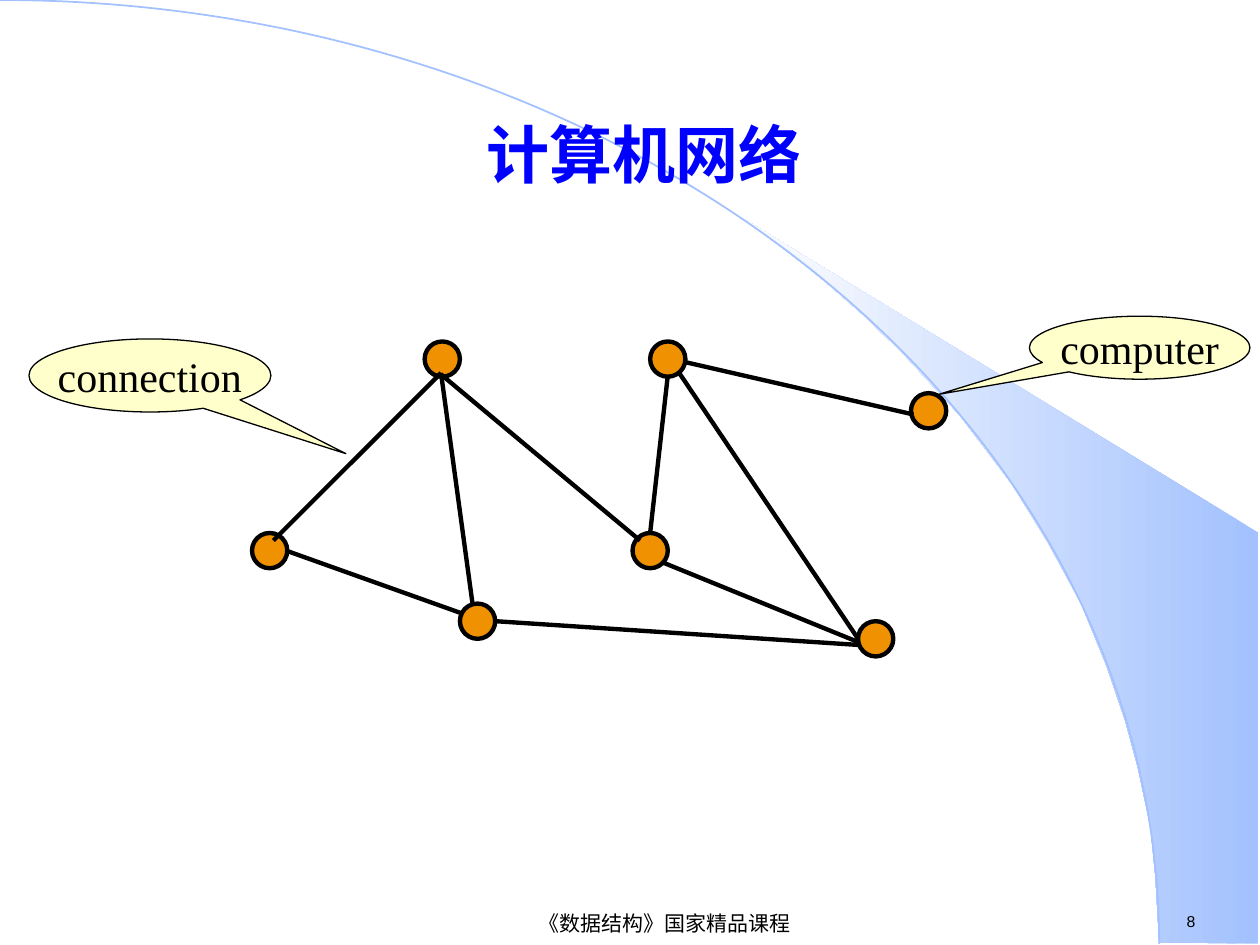
from lxml.etree import SubElement
from pptx import Presentation
from pptx.dml.color import RGBColor
from pptx.enum.shapes import MSO_CONNECTOR, MSO_SHAPE
from pptx.enum.text import MSO_ANCHOR, PP_ALIGN
from pptx.oxml.ns import qn
from pptx.util import Inches, Pt

BLACK, ORANGE, CREAM = "000000", "EF9100", "FFFFCC"
SKY, NEAR_WHITE, TITLE_BLUE = "A2C1FE", "FEFEFE", "0000FF"
SERIF, SANS = "Times New Roman", "Arial"
NODE_SIZE = 0.28


def color(hex_value):
    return RGBColor.from_string(hex_value)


def box_in_inches(box):
    return [Inches(value) for value in box]


def set_outline(part, hex_value, width):
    part.line.color.rgb = color(hex_value)
    part.line.width = Pt(width)


def write(part, text, size, font_name, align=PP_ALIGN.CENTER, hex_value=BLACK,
          bold=False, wrap=False, anchor=MSO_ANCHOR.MIDDLE):
    frame = part.text_frame
    frame.text = text
    frame.word_wrap = wrap
    frame.vertical_anchor = anchor
    paragraph = frame.paragraphs[0]
    paragraph.alignment = align
    font = paragraph.runs[0].font
    font.size, font.name, font.bold = Pt(size), font_name, bold
    font.color.rgb = color(hex_value)


def add_backdrop(slide, width, height):
    # Gradient wedge between the arc and the right edge
    right, bottom = width - 0.01, height - 0.01
    outline = [(right, bottom), (right, 4.23), (5.89, 1.73), (6.24, 1.99),
               (6.53, 2.22), (6.85, 2.5), (7.16, 2.8), (7.62, 3.3),
               (8.03, 3.84), (8.32, 4.31), (8.58, 4.79), (8.78, 5.28),
               (8.93, 5.72), (9.03, 6.09), (9.13, 6.56), (9.17, 6.96)]
    builder = slide.shapes.build_freeform(Inches(9.2), Inches(7.48))
    builder.add_line_segments([box_in_inches(point) for point in outline])
    wedge = builder.convert_to_shape()
    wedge.shadow.inherit = False
    wedge.line.fill.background()
    wedge.fill.gradient()
    wedge.fill.gradient_angle = 180
    for stop, hex_value in zip(wedge.fill.gradient_stops, (SKY, NEAR_WHITE)):
        stop.color.rgb = color(hex_value)

    # Quarter ellipse centred on the lower left corner
    radius_x = 9.2
    arc = slide.shapes.add_shape(MSO_SHAPE.ARC, *box_in_inches(
        (-radius_x, 0, 2 * radius_x, 2 * bottom)))
    arc.shadow.inherit = False
    arc.fill.background()
    set_outline(arc, SKY, 1)


def add_title(slide, text, box):
    title = slide.shapes.title
    title.left, title.top, title.width, title.height = box_in_inches(box)
    write(title, text, 36, SERIF, hex_value=TITLE_BLUE, bold=True, wrap=True)
    # Bring the title in front of the backdrop
    title._element.getparent().append(title._element)


def add_footer(slide, course, course_box, number, number_box):
    number_part = slide.shapes.add_textbox(*box_in_inches(number_box))
    write(number_part, number, 9, SANS, PP_ALIGN.LEFT, anchor=MSO_ANCHOR.TOP)
    course_part = slide.shapes.add_textbox(*box_in_inches(course_box))
    write(course_part, course, 12, SANS)


def add_computer(slide, left, top):
    computer = slide.shapes.add_shape(MSO_SHAPE.OVAL, *box_in_inches(
        (left, top, NODE_SIZE, NODE_SIZE)))
    computer.shadow.inherit = False
    computer.fill.solid()
    computer.fill.fore_color.rgb = color(ORANGE)
    set_outline(computer, BLACK, 2.5)


def add_connection(slide, start, end):
    connection = slide.shapes.add_connector(
        MSO_CONNECTOR.STRAIGHT, *box_in_inches(start + end))
    set_outline(connection, BLACK, 2.5)
    SubElement(connection._element.spPr, qn("a:effectLst"))


def add_network(slide, left, top):
    # Positions are relative to the upper left corner of the network
    rear_computers = [(3.02, 1.52), (5.23, 0.41), (1.37, 0), (1.65, 2.08), (0, 1.52)]
    front_computers = [(4.81, 2.22), (3.16, 0)]
    connections = [
        ((1.5, 0.25), (0.17, 1.58)), ((1.51, 0.27), (3.08, 1.58)),
        ((0.27, 1.66), (1.67, 2.16)), ((3.3, 0.27), (3.16, 1.52)),
        ((1.93, 2.22), (4.83, 2.41)), ((5.25, 0.58), (3.42, 0.16)),
        ((3.25, 1.75), (4.87, 2.41)), ((1.5, 0.25), (1.75, 2.08)),
        ((3.33, 0.16), (4.81, 2.36)),
    ]

    def place(point):
        return left + point[0], top + point[1]

    for point in rear_computers:
        add_computer(slide, *place(point))
    for start, end in connections:
        add_connection(slide, place(start), place(end))
    for point in front_computers:
        add_computer(slide, *place(point))


def add_callout(slide, text, box, tip):
    callout = slide.shapes.add_shape(MSO_SHAPE.OVAL_CALLOUT, *box_in_inches(box))
    callout.shadow.inherit = False
    # Tip offset from the centre, as a share of the box
    callout.adjustments[0], callout.adjustments[1] = tip
    callout.fill.solid()
    callout.fill.fore_color.rgb = color(CREAM)
    set_outline(callout, BLACK, 0.75)
    write(callout, text, 24, SERIF)


def main():
    width, height = 10, 7.5
    presentation = Presentation()
    presentation.slide_width, presentation.slide_height = Inches(width), Inches(height)
    slide = presentation.slides.add_slide(presentation.slide_layouts[5])

    add_backdrop(slide, width, height)
    add_footer(slide, "《数据结构》国家精品课程", (2.4, 7.21, 5.75, 0.24),
               "8", (9.32, 7.19, 0.77, 0.25))
    add_title(slide, "计算机网络", (0.9, 0.84, 8.42, 0.75))
    add_network(slide, 2, 2.71)
    add_callout(slide, "computer", (8.17, 2.51, 1.75, 0.5), (-0.91, 0.74))
    add_callout(slide, "connection", (0.23, 2.69, 1.92, 0.58), (0.81, 1.07))
    presentation.save("out.pptx")


if __name__ == "__main__":
    main()
